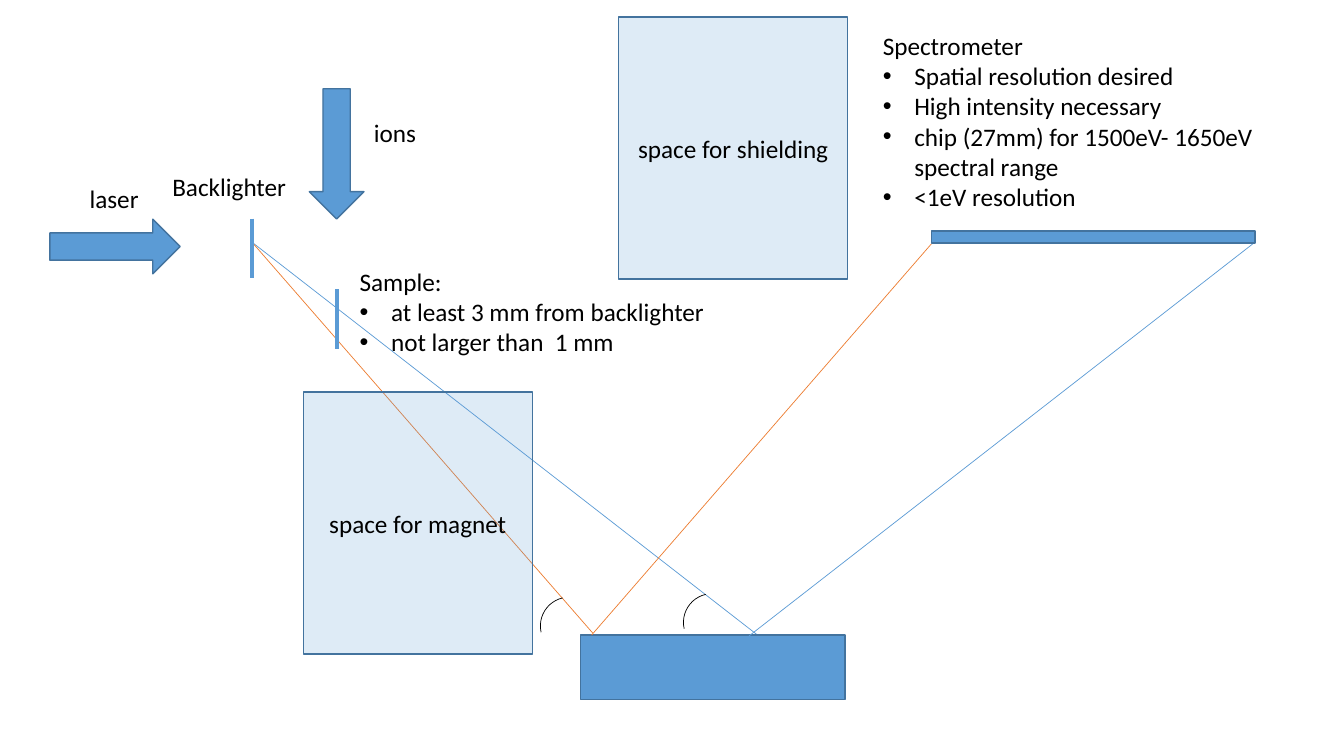
from lxml.etree import SubElement
from pptx import Presentation
from pptx.dml.color import RGBColor
from pptx.enum.shapes import MSO_CONNECTOR, MSO_SHAPE
from pptx.enum.text import MSO_ANCHOR, MSO_AUTO_SIZE, PP_ALIGN
from pptx.oxml.ns import qn
from pptx.util import Pt

COLORS = {"blue": "5B9BD5", "edge": "43739E", "orange": "ED7D31", "black": "000000"}


def color(name):
    """Return the named colour."""
    return RGBColor.from_string(COLORS[name])


def add_beam(page, start, end, line="blue", weight=0.5):
    """Draw a straight line between two points."""
    beam = page.shapes.add_connector(MSO_CONNECTOR.STRAIGHT, *map(Pt, start + end))
    beam.line.color.rgb = color(line)
    beam.line.width = Pt(weight)
    SubElement(beam._element.spPr, qn("a:effectLst"))


def add_part(page, kind, frame, fill="blue", line="edge", weight=1, rotation=0, opacity=100):
    """Draw a preset shape, optionally turned, unfilled or translucent."""
    part = page.shapes.add_shape(kind, *map(Pt, frame))
    part.shadow.inherit = False
    part.rotation = rotation
    part.line.color.rgb = color(line)
    part.line.width = Pt(weight)
    if fill is None:
        part.fill.background()
        return part
    part.fill.solid()
    part.fill.fore_color.rgb = color(fill)
    if opacity < 100:
        tint = part._element.spPr.find(qn("a:solidFill"))[0]
        SubElement(tint, qn("a:alpha"), val=str(opacity * 1000))
    return part


def write_text(box, text, align=PP_ALIGN.LEFT, anchor=MSO_ANCHOR.TOP, wrap=True, bullets=()):
    """Write a heading line and its bullets into a shape."""
    frame = box.text_frame
    frame.word_wrap = wrap
    frame.vertical_anchor = anchor
    for index, words in enumerate((text, *bullets)):
        para = frame.add_paragraph() if index else frame.paragraphs[0]
        para.alignment = align
        if index:
            properties = para._p.get_or_add_pPr()
            properties.set("marL", str(Pt(22.5)))
            properties.set("indent", str(Pt(-22.5)))
            SubElement(properties, qn("a:buFont"), typeface="Arial")
            SubElement(properties, qn("a:buChar"), char="•")
        span = para.add_run()
        span.text = words
        span.font.size = Pt(18)
        span.font.name = "Calibri"
        span.font.color.rgb = color("black")


def add_label(page, frame, text, **formatting):
    """Add a text box that grows with its text."""
    box = page.shapes.add_textbox(*map(Pt, frame))
    write_text(box, text, **formatting)
    box.text_frame.auto_size = MSO_AUTO_SIZE.SHAPE_TO_FIT_TEXT


def add_space(page, left, top, text):
    """Draw a translucent reserved area with a centred caption."""
    area = add_part(page, MSO_SHAPE.RECTANGLE, (left, top, 163.5, 187.2), opacity=20)
    write_text(area, text, align=PP_ALIGN.CENTER, anchor=MSO_ANCHOR.MIDDLE)


def main():
    """Build the spectrometer set-up slide."""
    deck = Presentation()
    deck.slide_width, deck.slide_height = Pt(960), Pt(540)
    page = deck.slides.add_slide(deck.slide_layouts[6])

    source = (180, 173)
    add_beam(page, source, (542, 454.3))
    add_beam(page, source, (423.4, 452.2), line="orange")
    add_part(page, MSO_SHAPE.RECTANGLE, (414.7, 453.6, 188.8, 46))
    for left, top in ((386, 426.5), (488.2, 424)):
        add_part(page, MSO_SHAPE.ARC, (left, top, 41, 41), fill=None,
                 line="black", weight=0.5, rotation=257.1)
    add_beam(page, (896.4, 173), (535, 454.3))
    add_beam(page, (665.3, 174.2), (422.6, 453.6), line="orange")
    add_part(page, MSO_SHAPE.RECTANGLE, (665.3, 165, 231.1, 8.7))

    for left, top, rotation in ((221, 63.4, 0), (62.6, 129.6, 270)):
        add_part(page, MSO_SHAPE.DOWN_ARROW, (left, top, 39, 93), rotation=rotation)
    add_label(page, (56.9, 127.4, 49.7, 29), "laser", wrap=False)
    add_label(page, (260, 80.6, 44.6, 29), "ions", wrap=False)
    for left, top in ((180, 156.2), (240.5, 206.6)):
        add_beam(page, (left, top), (left, top + 42.5), weight=3)

    add_label(page, (623.5, 18, 304.6, 138.2), "Spectrometer", bullets=(
        "Spatial resolution desired",
        "High intensity necessary",
        "chip (27mm) for 1500eV- 1650eV spectral range",
        "<1eV resolution"))
    add_label(page, (249.8, 186.5, 263.5, 72.7), "Sample:", wrap=False, bullets=(
        "at least 3 mm from backlighter", "not larger than  1 mm"))
    add_label(page, (116, 118.8, 96.5, 29), "Backlighter", wrap=False)
    add_space(page, 442, 12.2, "space for shielding")
    add_space(page, 216.7, 280, "space for magnet")
    deck.save("out.pptx")


if __name__ == "__main__":
    main()
